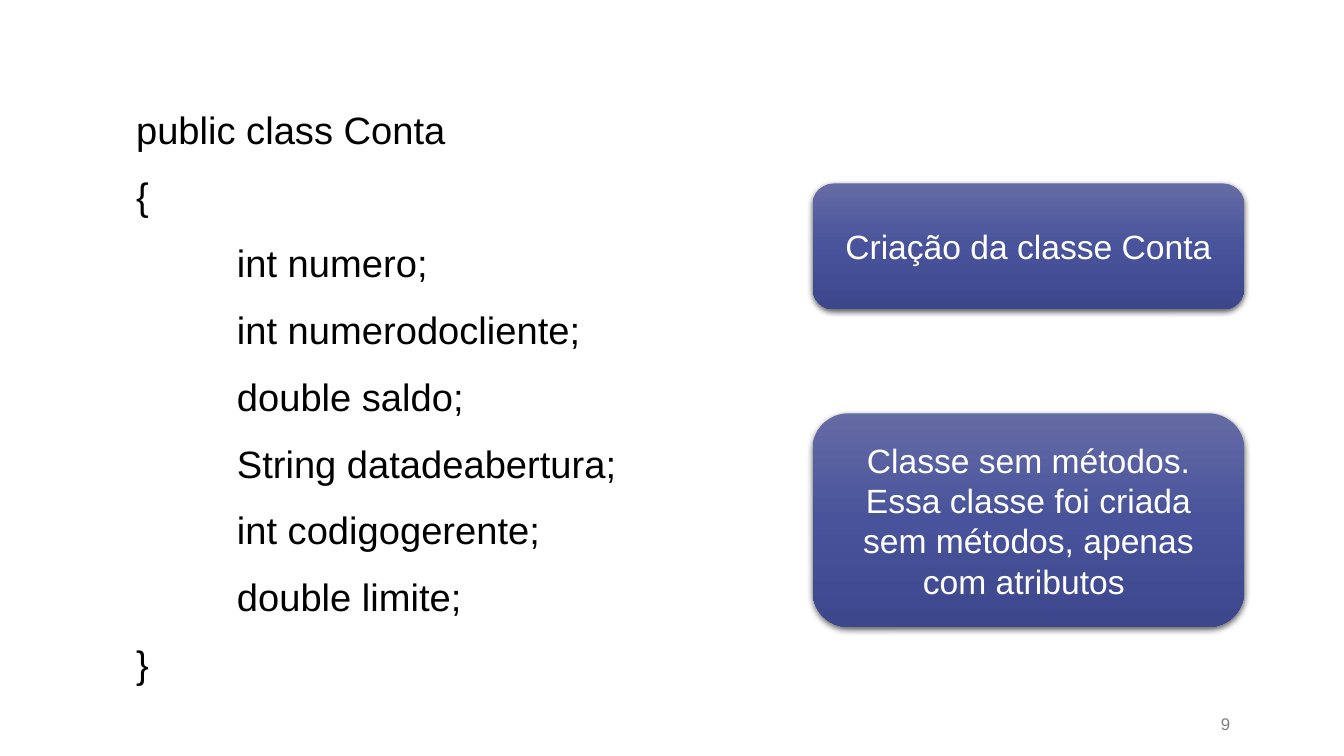
from dataclasses import dataclass

from lxml.etree import SubElement
from pptx import Presentation
from pptx.dml.color import RGBColor
from pptx.enum.shapes import MSO_SHAPE
from pptx.enum.text import MSO_ANCHOR, PP_ALIGN
from pptx.oxml import parse_xml
from pptx.oxml.ns import nsdecls, qn
from pptx.util import Inches, Pt


@dataclass(frozen=True)
class Theme:
    font: str = "Arial"
    code_color: str = "000000"
    number_color: str = "7F7F7F"
    callout_color: str = "FFFFFF"
    callout_stops: tuple = ((0, "646BA4"), (50, "49539B"), (100, "3D478C"))
    shadow_color: str = "000000"
    code_size: float = 27.2
    callout_size: float = 24
    number_size: float = 12


class SlideBuilder:
    def __init__(self, prs, theme):
        self.theme = theme
        self.s = prs.slides.add_slide(prs.slide_layouts[6])

    def style(self, p, size, color, align):
        p.alignment = align
        p.font.name = self.theme.font
        p.font.size = Pt(size)
        p.font.color.rgb = RGBColor.from_string(color)

    def text_frame(self, left, top, width, height, anchor):
        sp = self.s.shapes.add_textbox(
            Inches(left), Inches(top), Inches(width), Inches(height)
        )
        tf = sp.text_frame
        tf.word_wrap = True
        tf.vertical_anchor = anchor
        tf.margin_left = tf.margin_right = Inches(0.13)
        tf.margin_top = tf.margin_bottom = Inches(0.07)
        return tf

    def code(self, left, top, width, height, lines):
        tf = self.text_frame(left, top, width, height, MSO_ANCHOR.TOP)
        tf.text = "\n".join(text for _, text in lines)
        for p, (level, _) in zip(tf.paragraphs, lines):
            self.style(p, self.theme.code_size, self.theme.code_color, PP_ALIGN.JUSTIFY)
            p.line_spacing = 1.4
            p.space_before = Pt(2)
            p._p.get_or_add_pPr().set("marL", str(Inches(level)))

    def number(self, left, top, width, height, text):
        tf = self.text_frame(left, top, width, height, MSO_ANCHOR.BOTTOM)
        tf.text = text
        self.style(
            tf.paragraphs[0], self.theme.number_size, self.theme.number_color, PP_ALIGN.RIGHT
        )

    def callout(self, left, top, width, height, text):
        sp = self.s.shapes.add_shape(
            MSO_SHAPE.ROUNDED_RECTANGLE,
            Inches(left), Inches(top), Inches(width), Inches(height),
        )
        sp.adjustments[0] = 0.167
        sp.line.fill.background()
        self.gradient(sp)
        self.shadow(sp)
        tf = sp.text_frame
        tf.word_wrap = True
        tf.vertical_anchor = MSO_ANCHOR.MIDDLE
        tf.text = text
        self.style(
            tf.paragraphs[0], self.theme.callout_size, self.theme.callout_color, PP_ALIGN.CENTER
        )

    def gradient(self, sp):
        stops = "".join(
            f'<a:gs pos="{pos * 1000}"><a:srgbClr val="{color}"/></a:gs>'
            for pos, color in self.theme.callout_stops
        )
        fill = parse_xml(
            f'<a:gradFill {nsdecls("a")} rotWithShape="1"><a:gsLst>{stops}</a:gsLst>'
            '<a:lin ang="5400000" scaled="0"/></a:gradFill>'
        )
        sp._element.spPr.find(qn("a:ln")).addprevious(fill)

    def shadow(self, sp):
        sp.shadow.inherit = False
        effects = sp._element.spPr.find(qn("a:effectLst"))
        outer = SubElement(
            effects, qn("a:outerShdw"), blurRad=str(Pt(4.5)), dist=str(Pt(1.5)),
            dir="5400000", rotWithShape="0",
        )
        color = SubElement(outer, qn("a:srgbClr"), val=self.theme.shadow_color)
        SubElement(color, qn("a:alpha"), val="63000")


def main():
    prs = Presentation()
    prs.slide_width, prs.slide_height = Inches(13.33), Inches(7.5)
    slide = SlideBuilder(prs, Theme())

    attributes = (
        "int numero;",
        "int numerodocliente;",
        "double saldo;",
        "String datadeabertura;",
        "int codigogerente;",
        "double limite;",
    )
    lines = [(0, "public class Conta"), (0, "{")]
    lines += [(1, attribute) for attribute in attributes]
    lines.append((0, "}"))
    slide.code(1.22, 0.8, 11.11, 5.95, lines)
    slide.number(11.12, 7, 1.21, 0.35, "9")

    callouts = (
        (1.82, 1.25, "Criação da classe Conta"),
        (4.1, 2.12, "Classe sem métodos. Essa classe foi criada sem métodos, apenas com atributos "),
    )
    for top, height, text in callouts:
        slide.callout(8.06, top, 4.28, height, text)

    prs.save("out.pptx")


if __name__ == "__main__":
    main()
